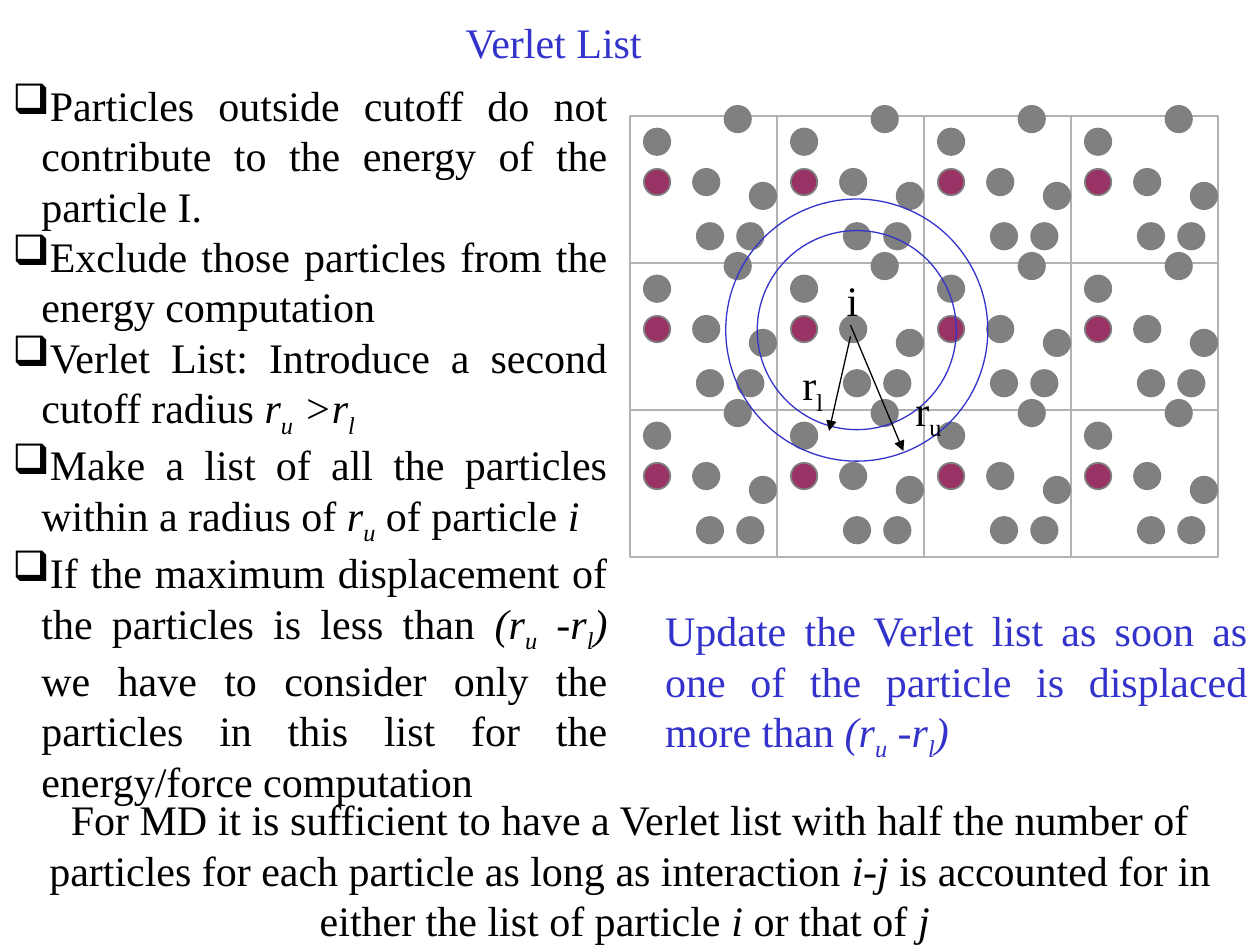
from itertools import product
from lxml.etree import SubElement
from pptx import Presentation
from pptx.dml.color import RGBColor
from pptx.enum.shapes import MSO_CONNECTOR, MSO_SHAPE
from pptx.enum.text import MSO_ANCHOR, MSO_AUTO_SIZE, PP_ALIGN
from pptx.oxml.ns import qn
from pptx.util import Inches, Pt

BLACK = RGBColor(0, 0, 0)
BLUE = RGBColor(0x33, 0x33, 0xCC)
GRAY = RGBColor(0x80, 0x80, 0x80)
PALE = RGBColor(0xB2, 0xB2, 0xB2)
PLUM = RGBColor(0x99, 0x33, 0x66)

# In the texts, *...* is italic and _x makes x a subscript.
POINTS = [
    "Particles outside cutoff do not contribute to the energy of the particle I.",
    "Exclude those particles from the energy computation",
    "Verlet List: Introduce a second cutoff radius *r_u >r_l*",
    "Make a list of all the particles within a radius of *r_u* of particle *i*",
    "If the maximum displacement of the particles is less than *(r_u -r_l)* we have "
    "to consider only the particles in this list for the energy/force computation",
]
UPDATE = ("Update the Verlet list as soon as one of the particle is displaced "
          "more than *(r_u -r_l)*")
NOTE = ("For MD it is sufficient to have a Verlet list with half the number of particles "
        "for each particle as long as interaction *i-j* is accounted for in either the "
        "list of particle *i* or that of *j *")

COLS, ROWS = 4, 3
LEFT, TOP, CELL = 5, 0.92, 3.5 / 3
DOT = 0.21
DOTS = [  # offset of each particle in its cell
    (0.11, 0.42, PLUM), (0.5, 0.42, GRAY), (0.53, 0.85, GRAY), (0.85, 0.85, GRAY),
    (0.11, 0.1, GRAY), (0.95, 0.53, GRAY), (0.75, -0.08, GRAY),
]
CENTER = (6.8, 2.62)
RADII = [0.79, 1.04]
ARROWS = [((6.75, 2.67), (6.58, 3.42)), ((6.75, 2.58), (7.17, 3.58))]
LABELS = [("i", (6.62, 2.13, 0.29, 0.5)), ("r_l", (6.23, 2.8, 0.44, 0.56)),
          ("r_u", (7.15, 3, 0.44, 0.56))]


def add_run(para, text, color, italic, sub=False):
    if not text:
        return
    run = para.add_run()
    run.text = text
    font = run.font
    font.name, font.size, font.italic = "Times New Roman", Pt(24), italic
    font.color.rgb = color
    if sub:
        run._r.get_or_add_rPr().set("baseline", "-25000")


def add_bullet(para):
    props = para._p.get_or_add_pPr()
    props.set("marL", str(Inches(0.23)))
    props.set("indent", str(-Inches(0.23)))
    tint = SubElement(props, qn("a:buClr"))
    SubElement(tint, qn("a:srgbClr")).set("val", str(BLACK))
    SubElement(props, qn("a:buChar")).set("char", "❑")


def write(shape, *texts, color=BLACK, align=PP_ALIGN.CENTER, wrap=True, bullet=False):
    frame = shape.text_frame
    frame.word_wrap = wrap
    frame.auto_size = MSO_AUTO_SIZE.NONE
    frame.vertical_anchor = MSO_ANCHOR.TOP
    for n, text in enumerate(texts):
        para = frame.add_paragraph() if n else frame.paragraphs[0]
        para.alignment = align
        if bullet:
            add_bullet(para)
        for k, part in enumerate(text.split("*")):
            italic = k % 2 == 1
            first, *rest = part.split("_")
            add_run(para, first, color, italic)
            for bit in rest:
                add_run(para, bit[0], color, italic, sub=True)
                add_run(para, bit[1:], color, italic)


def add_box(shapes, box, *texts, **form):
    write(shapes.add_textbox(*map(Inches, box)), *texts, **form)


def draw(shapes, kind, x, y, size, line, width=1, fill=None):
    shape = shapes.add_shape(kind, *map(Inches, (x, y, size, size)))
    shape.shadow.inherit = False
    shape.line.color.rgb = line
    shape.line.width = Pt(width)
    if fill is None:
        shape.fill.background()
    else:
        shape.fill.solid()
        shape.fill.fore_color.rgb = fill


def add_arrow(shapes, start, end):
    arrow = shapes.add_connector(MSO_CONNECTOR.STRAIGHT, *map(Inches, start + end))
    arrow.line.color.rgb = BLACK
    arrow.line.width = Pt(0.75)
    SubElement(arrow.line._get_or_add_ln(), qn("a:tailEnd")).set("type", "triangle")
    SubElement(arrow._element.spPr, qn("a:effectLst"))


def add_lattice(shapes):
    spots = [(LEFT + c * CELL, TOP + r * CELL)
             for r, c in product(range(ROWS), range(COLS))]
    for n, (x, y) in enumerate(spots):
        if n != COLS + 1:  # the neighbours frame the central cell
            draw(shapes, MSO_SHAPE.RECTANGLE, x, y, CELL, PALE)
    for (x, y), (dx, dy, fill) in product(spots, DOTS):
        draw(shapes, MSO_SHAPE.OVAL, x + dx, y + dy, DOT, GRAY, fill=fill)
    for rad in RADII:
        draw(shapes, MSO_SHAPE.OVAL, CENTER[0] - rad, CENTER[1] - rad, 2 * rad,
             BLUE, width=0.75)
    for start, end in ARROWS:
        add_arrow(shapes, start, end)
    for text, box in LABELS:
        add_box(shapes, box, text, wrap=len(text) > 1)


def main():
    deck = Presentation()
    deck.slide_width, deck.slide_height = Inches(10), Inches(7.5)
    slide = deck.slides.add_slide(deck.slide_layouts[5])
    title = slide.shapes.title
    title.left, title.top, title.width, title.height = map(Inches, (3.58, 0.08, 1.63, 0.5))
    write(title, "Verlet List", color=BLUE, wrap=False)
    add_lattice(slide.shapes.add_group_shape().shapes)
    add_box(slide.shapes, (0, 0.58, 4.92, 5.87), *POINTS,
            align=PP_ALIGN.JUSTIFY, bullet=True)
    add_box(slide.shapes, (5.18, 4.75, 4.82, 1.36), UPDATE,
            color=BLUE, align=PP_ALIGN.JUSTIFY)
    add_box(slide.shapes, (0, 6.25, 10, 1.3), NOTE)
    deck.save("out.pptx")


if __name__ == "__main__":
    main()
